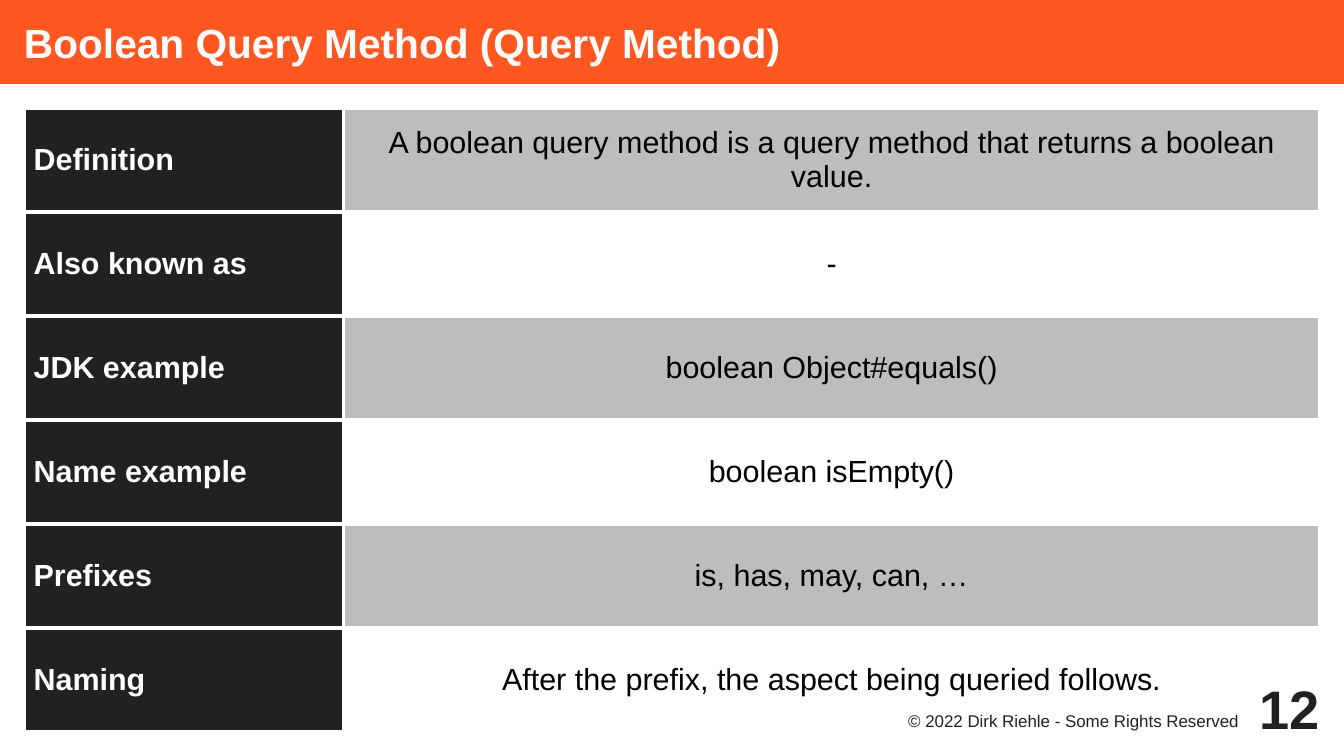
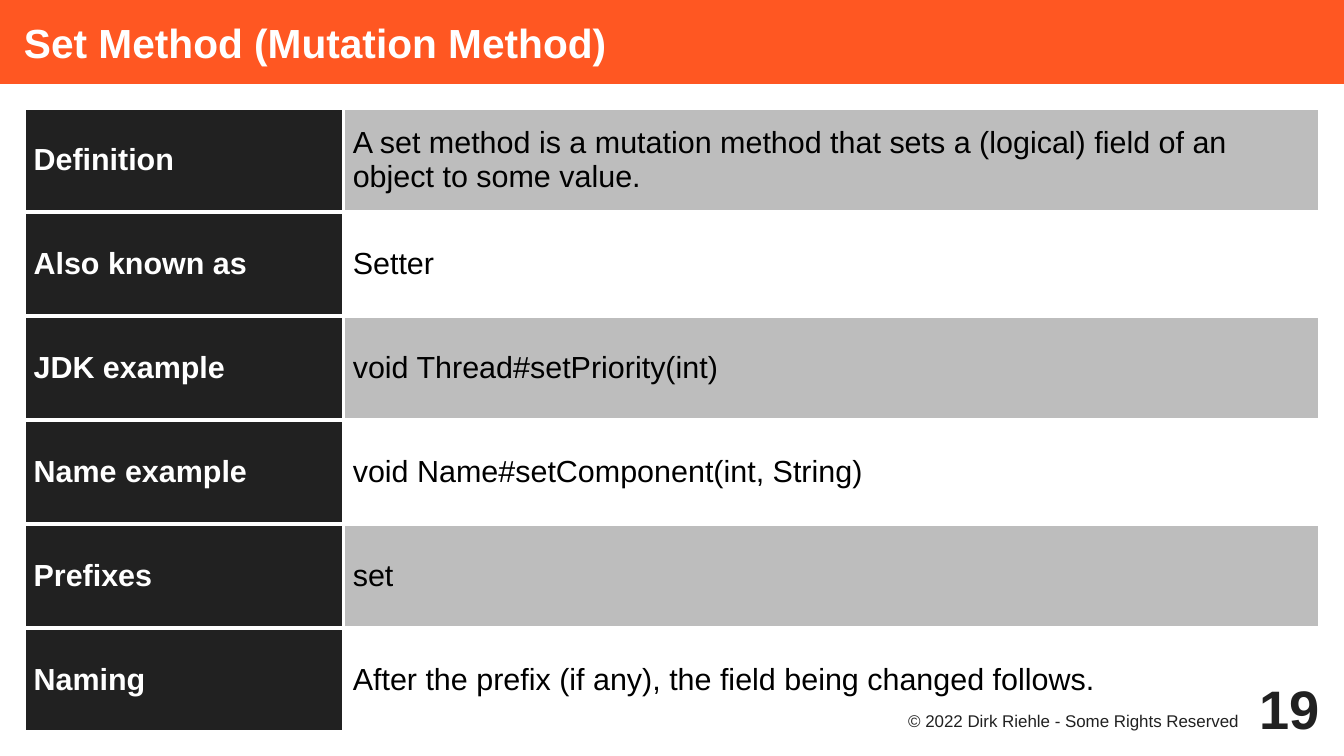
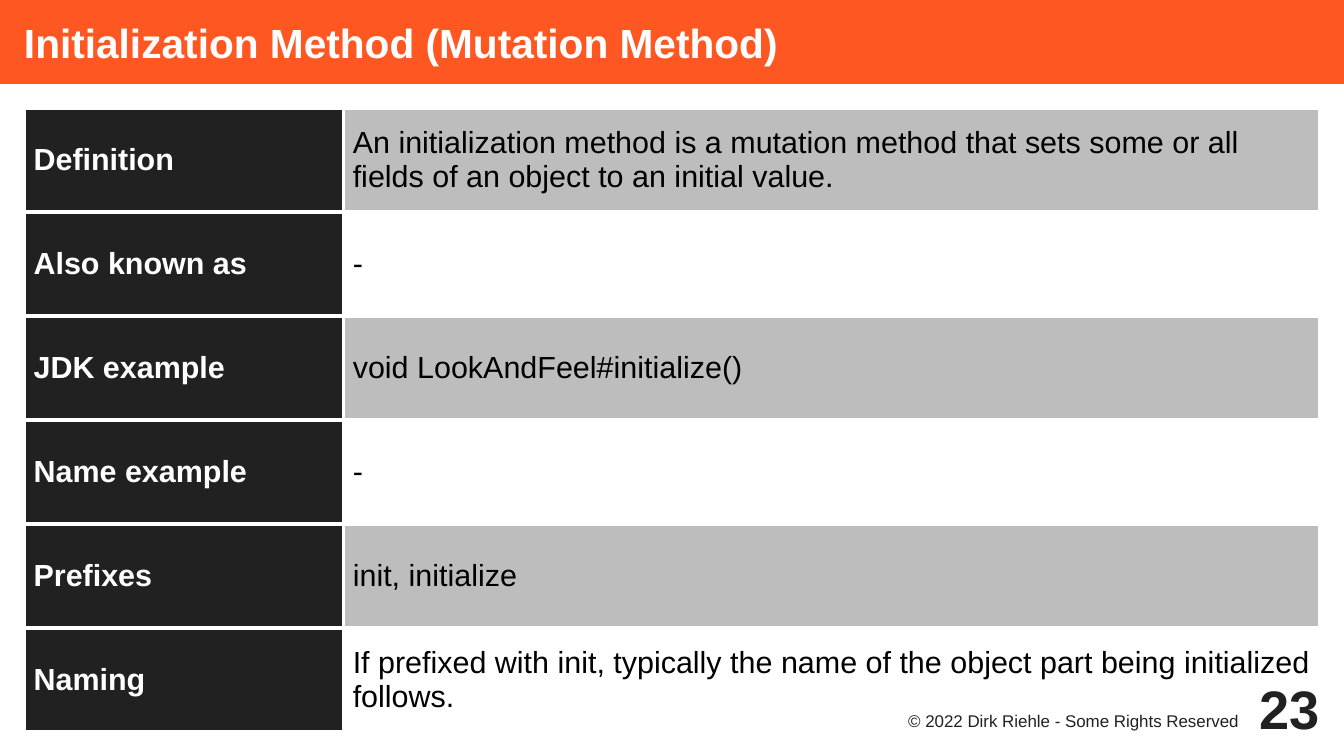
"""Build three slides that describe kinds of Java methods."""
from dataclasses import dataclass

from lxml import etree
from pptx import Presentation
from pptx import util as u
from pptx.dml.color import RGBColor as Rgb
from pptx.enum import text as t
from pptx.oxml import ns


@dataclass(frozen=True)
class Theme:
    font: str = "Arial"
    orange: str = "FF5722"
    dark: str = "212121"
    grey: str = "BDBDBD"
    white: str = "FFFFFF"
    black: str = "000000"
    title: int = 24
    body: int = 18
    small: int = 10
    page: int = 32
    rule: float = 2.27


@dataclass(frozen=True)
class Box:
    left: float
    top: float
    width: float
    height: float

    def emu(self) -> tuple:
        return tuple(u.Cm(n) for n in (self.left, self.top, self.width, self.height))


@dataclass(frozen=True)
class Style:
    size: int
    color: str
    bold: bool = False
    align: t.PP_ALIGN = t.PP_ALIGN.LEFT


@dataclass(frozen=True)
class Method:
    title: str
    page: int
    facts: tuple[str, ...]
    align: t.PP_ALIGN = t.PP_ALIGN.LEFT


THEME = Theme()
WIDE, HIGH = 28, 15.75
BAND = Box(0, 0, WIDE, 1.75)
GRID = Box(0.5, 2.25, 27, 13)
FOOT = Box(18, 14.75, 8, 0.75)
PAGE = Box(25.5, 14, 2, 1.5)
LABEL_WIDTH = 6.65
RIGHTS = "© 2022 Dirk Riehle - Some Rights Reserved"
LABELS = ("Definition", "Also known as", "JDK example",
          "Name example", "Prefixes", "Naming")

HEAD = Style(THEME.title, THEME.white, True)
LABEL = Style(THEME.body, THEME.white, True)
NOTE = Style(THEME.small, THEME.dark, align=t.PP_ALIGN.RIGHT)
COUNT = Style(THEME.page, THEME.dark, True, t.PP_ALIGN.RIGHT)

METHODS = (
    Method("Boolean Query Method (Query Method)", 12, (
        "A boolean query method is a query method that returns a boolean value.",
        "-",
        "boolean Object#equals()",
        "boolean isEmpty()",
        "is, has, may, can, …",
        "After the prefix, the aspect being queried follows.",
    ), t.PP_ALIGN.CENTER),
    Method("Set Method (Mutation Method)", 19, (
        "A set method is a mutation method that sets a (logical) field of an "
        "object to some value.",
        "Setter",
        "void Thread#setPriority(int)",
        "void Name#setComponent(int, String)",
        "set",
        "After the prefix (if any), the field being changed follows.",
    )),
    Method("Initialization Method (Mutation Method)", 23, (
        "An initialization method is a mutation method that sets some or all "
        "fields of an object to an initial value.",
        "-",
        "void LookAndFeel#initialize()",
        "-",
        "init, initialize",
        "If prefixed with init, typically the name of the object part being "
        "initialized follows.",
    )),
)


def paint(item, color: str) -> None:
    item.fill.solid()
    item.fill.fore_color.rgb = Rgb.from_string(color)


def write(frame, words: str, style: Style) -> None:
    para = frame.paragraphs[0]
    para.alignment = style.align
    run = para.add_run()
    run.text = words
    run.font.name = THEME.font
    run.font.size = u.Pt(style.size)
    run.font.bold = style.bold
    run.font.color.rgb = Rgb.from_string(style.color)


def inset(item, left: float, top: float, right: float, bottom: float) -> None:
    item.margin_left, item.margin_top = u.Cm(left), u.Cm(top)
    item.margin_right, item.margin_bottom = u.Cm(right), u.Cm(bottom)


def edge(cell) -> None:
    props = cell._tc.get_or_add_tcPr()
    for side in ("lnL", "lnR", "lnT", "lnB"):
        line = etree.SubElement(props, ns.qn(f"a:{side}"), w=str(u.Pt(THEME.rule)))
        fill = etree.SubElement(line, ns.qn("a:solidFill"))
        etree.SubElement(fill, ns.qn("a:srgbClr"), val=THEME.white)


def add_title(slide, words: str) -> None:
    band = slide.shapes.title
    band.left, band.top, band.width, band.height = BAND.emu()
    paint(band, THEME.orange)
    frame = band.text_frame
    frame.auto_size = t.MSO_AUTO_SIZE.NONE
    frame.vertical_anchor = t.MSO_ANCHOR.MIDDLE
    inset(frame, 0.5, 0, 0, 0)
    write(frame, words, HEAD)


def add_cell(cell, words: str, style: Style, color: str) -> None:
    edge(cell)
    paint(cell, color)
    cell.vertical_anchor = t.MSO_ANCHOR.MIDDLE
    inset(cell, 0.2, 0.13, 0.2, 0.13)
    write(cell.text_frame, words, style)


def add_grid(slide, method: Method) -> None:
    grid = slide.shapes.add_table(len(LABELS), 2, *GRID.emu()).table
    grid.first_row = grid.horz_banding = False
    grid.columns[0].width = u.Cm(LABEL_WIDTH)
    grid.columns[1].width = u.Cm(GRID.width - LABEL_WIDTH)
    fact_style = Style(THEME.body, THEME.black, align=method.align)
    for row, (label, fact) in enumerate(zip(LABELS, method.facts)):
        grid.rows[row].height = u.Cm(GRID.height / len(LABELS))
        add_cell(grid.cell(row, 0), label, LABEL, THEME.dark)
        add_cell(grid.cell(row, 1), fact, fact_style,
                 THEME.white if row % 2 else THEME.grey)


def add_text(slide, box: Box, words: str, style: Style, anchor: t.MSO_ANCHOR,
             top: float = 0, right: float = 0) -> None:
    frame = slide.shapes.add_textbox(*box.emu()).text_frame
    frame.word_wrap = True
    frame.vertical_anchor = anchor
    inset(frame, 0, top, right, 0)
    write(frame, words, style)


def add_slide(deck, method: Method) -> None:
    slide = deck.slides.add_slide(deck.slide_layouts.get_by_name("Title Only"))
    paint(slide.background, THEME.white)
    add_title(slide, method.title)
    add_grid(slide, method)
    add_text(slide, FOOT, RIGHTS, NOTE, t.MSO_ANCHOR.TOP, 0.05, 0.2)
    add_text(slide, PAGE, str(method.page), COUNT, t.MSO_ANCHOR.MIDDLE)


def main() -> None:
    deck = Presentation()
    deck.slide_width, deck.slide_height = u.Cm(WIDE), u.Cm(HIGH)
    for method in METHODS:
        add_slide(deck, method)
    deck.save("out.pptx")


if __name__ == "__main__":
    main()
